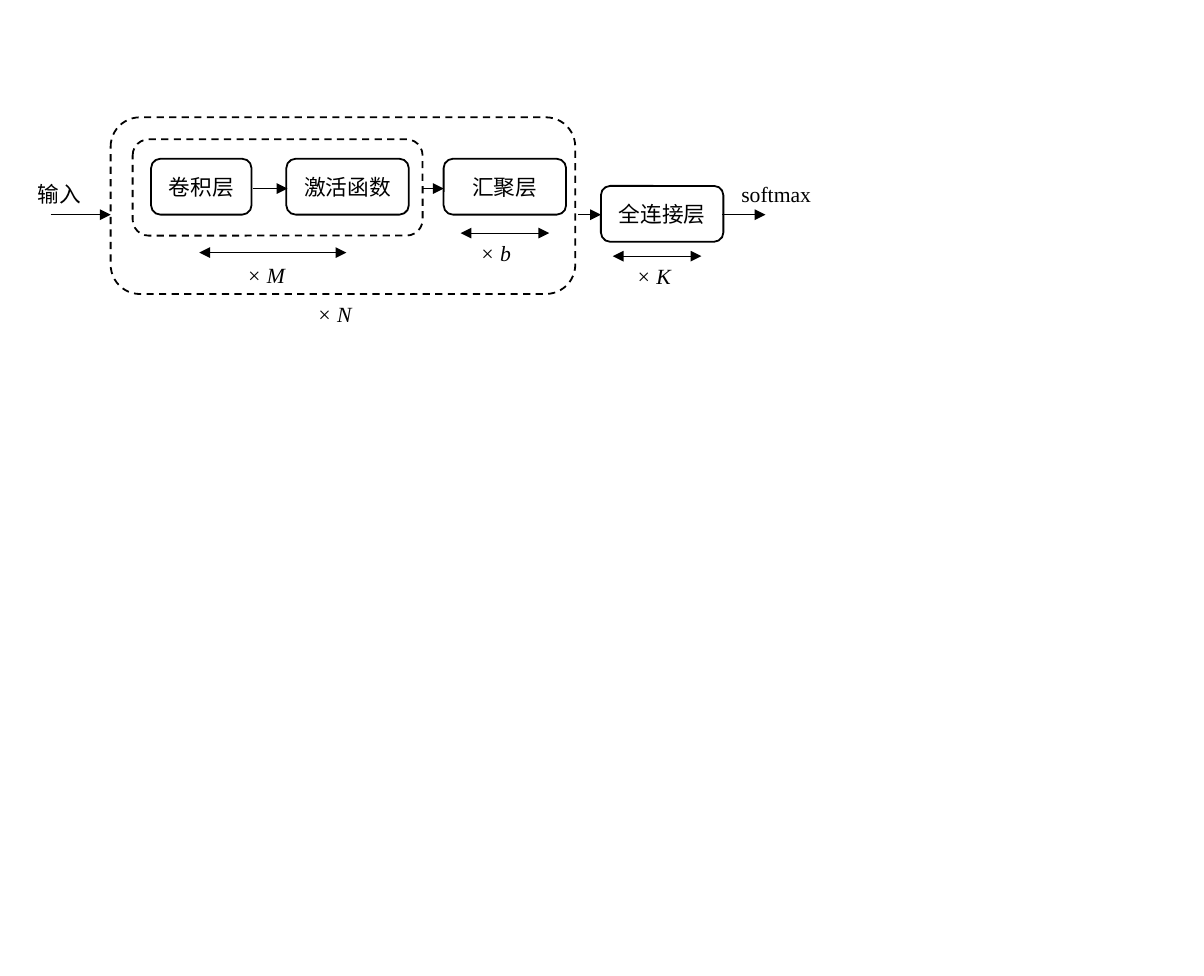
"""Draw the block structure of a convolutional network on one slide."""
import dataclasses

import lxml.etree
import pptx
import pptx.dml.color
import pptx.enum.dml
import pptx.enum.shapes
import pptx.enum.text
import pptx.oxml.ns
import pptx.util

Cm = pptx.util.Cm
Pt = pptx.util.Pt
qn = pptx.oxml.ns.qn


@dataclasses.dataclass(frozen=True)
class Theme:
    ink: str = "000000"
    paper: str = "FFFFFF"
    chinese_font: str = "Noto Sans CJK SC"
    latin_font: str = "Times New Roman"
    text_size: float = 12
    box_line: float = 1
    arrow_line: float = 0.5


class Diagram:
    def __init__(self, slide, theme):
        self.slide = slide
        self.theme = theme
        self.ink = pptx.dml.color.RGBColor.from_string(theme.ink)
        self.paper = pptx.dml.color.RGBColor.from_string(theme.paper)

    def set_text(self, text_frame, text, font_name, italic=False):
        text_frame.text = text
        for run in text_frame.paragraphs[0].runs:
            run.font.name = font_name
            run.font.size = Pt(self.theme.text_size)
            run.font.italic = italic
            run.font.color.rgb = self.ink
            east_asian = lxml.etree.SubElement(run._r.get_or_add_rPr(), qn("a:ea"))
            east_asian.set("typeface", font_name)

    def box(self, left, top, width, height):
        shape = self.slide.shapes.add_shape(
            pptx.enum.shapes.MSO_SHAPE.ROUNDED_RECTANGLE,
            Cm(left), Cm(top), Cm(width), Cm(height))
        shape.shadow.inherit = False
        shape.fill.solid()
        shape.fill.fore_color.rgb = self.paper
        shape.line.color.rgb = self.ink
        shape.line.width = Pt(self.theme.box_line)
        return shape

    def group_frame(self, left, top, width, height):
        shape = self.box(left, top, width, height)
        shape.line.dash_style = pptx.enum.dml.MSO_LINE.DASH

    def layer(self, text, left, top, width, height=1.09):
        text_frame = self.box(left, top, width, height).text_frame
        text_frame.margin_left = text_frame.margin_right = 0
        text_frame.vertical_anchor = pptx.enum.text.MSO_ANCHOR.MIDDLE
        self.set_text(text_frame, text, self.theme.chinese_font)
        text_frame.paragraphs[0].alignment = pptx.enum.text.PP_ALIGN.CENTER

    def label(self, text, left, top, width, font_name, italic=False):
        shape = self.slide.shapes.add_textbox(Cm(left), Cm(top), Cm(width), Cm(0.76))
        text_frame = shape.text_frame
        text_frame.word_wrap = True
        text_frame.auto_size = pptx.enum.text.MSO_AUTO_SIZE.SHAPE_TO_FIT_TEXT
        self.set_text(text_frame, text, font_name, italic)

    def repeat_label(self, letter, left, top):
        self.label(f"× {letter}", left, top, 1.5, self.theme.latin_font, italic=True)

    def arrow(self, start, end, y, ends=("tailEnd",)):
        connector = self.slide.shapes.add_connector(
            pptx.enum.shapes.MSO_CONNECTOR.STRAIGHT, Cm(start), Cm(y), Cm(end), Cm(y))
        connector.line.color.rgb = self.ink
        connector.line.width = Pt(self.theme.arrow_line)
        properties = connector._element.spPr
        line = properties.find(qn("a:ln"))
        for end_name in ends:
            lxml.etree.SubElement(line, qn(f"a:{end_name}")).set("type", "triangle")
        lxml.etree.SubElement(properties, qn("a:effectLst"))

    def repeat_span(self, start, end, y):
        self.arrow(start, end, y, ends=("headEnd", "tailEnd"))


presentation = pptx.Presentation()
presentation.slide_width = Cm(23.5)
presentation.slide_height = Cm(19.05)
theme = Theme()
diagram = Diagram(presentation.slides.add_slide(presentation.slide_layouts[6]), theme)

diagram.group_frame(2.16, 2.29, 9.07, 3.45)
diagram.group_frame(2.59, 2.72, 5.66, 1.88)

layer_top, output_top = 3.1, 3.63
diagram.layer("卷积层", 2.95, layer_top, 1.96)
wide_layers = (("激活函数", layer_top), ("汇聚层", layer_top), ("全连接层", output_top))
for index, (name, top) in enumerate(wide_layers):
    diagram.layer(name, 5.59 + 3.07 * index, top, 2.39)

for start, end, y in ((3.89, 6.76, 4.93), (8.99, 10.72, 4.55), (11.96, 13.69, 5)):
    diagram.repeat_span(start, end, y)

for letter, left, top in (("M", 4.57, 4.98), ("b", 9.12, 4.55),
                          ("K", 12.17, 5), ("N", 5.94, 5.74)):
    diagram.repeat_label(letter, left, top)

main_axis, inner_axis = 4.19, 3.68
for start, end, y in ((0.99, 2.16, main_axis), (4.93, 5.61, inner_axis),
                      (8.26, 8.66, inner_axis), (11.28, 11.73, main_axis),
                      (14.1, 14.94, main_axis)):
    diagram.arrow(start, end, y)

diagram.label("输入", 0.48, 3.4, 1.42, theme.chinese_font)
diagram.label("softmax", 14.22, 3.4, 2.08, theme.latin_font)

presentation.save("out.pptx")
